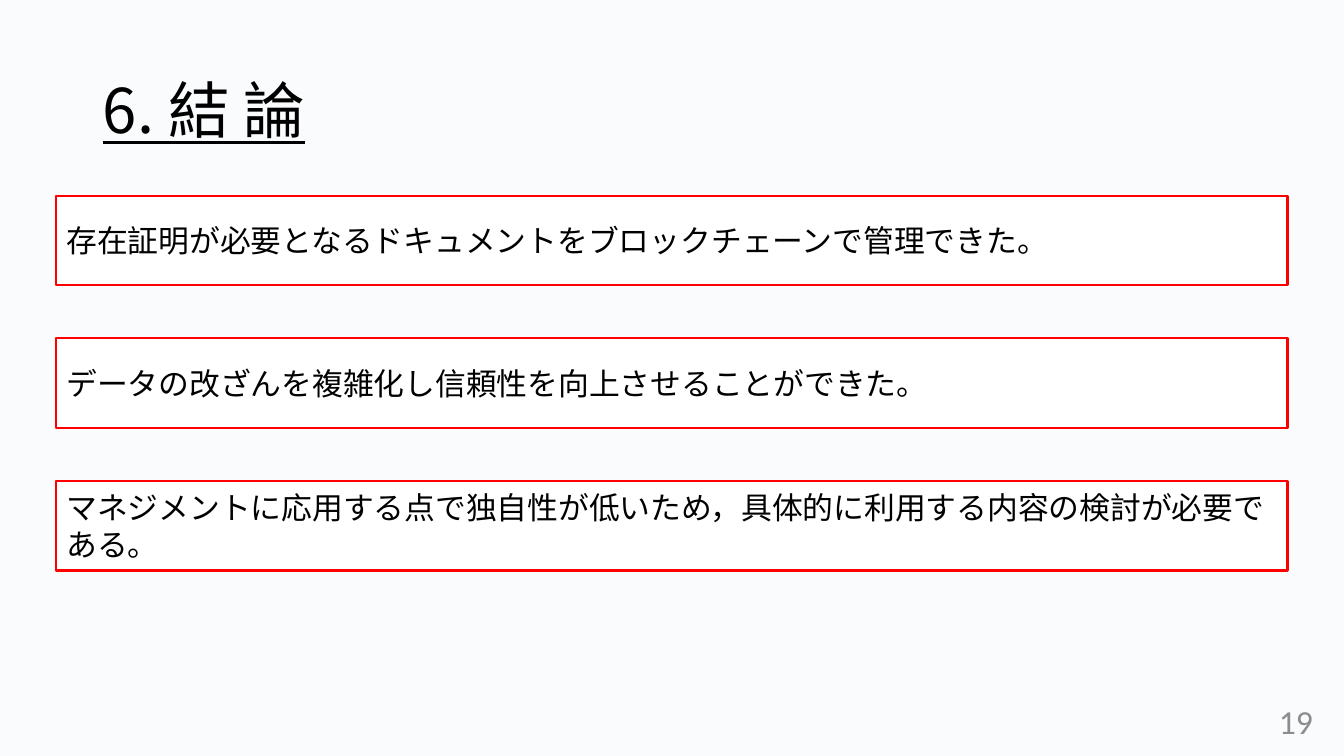
import pptx
import pptx.dml.color
import pptx.enum.shapes
import pptx.enum.text
import pptx.oxml
import pptx.oxml.ns
import pptx.util

Inches = pptx.util.Inches
Pt = pptx.util.Pt
RGBColor = pptx.dml.color.RGBColor
Align = pptx.enum.text.PP_ALIGN
Anchor = pptx.enum.text.MSO_ANCHOR

# Content
TITLE = "6. 結 論"
CONCLUSIONS = [
    "存在証明が必要となるドキュメントをブロックチェーンで管理できた。",
    "データの改ざんを複雑化し信頼性を向上させることができた。",
    "マネジメントに応用する点で独自性が低いため，具体的に利用する内容の検討が必要である。",
]
PAGE_NUMBER = "19"

# Style
TITLE_FONT = "Noto Sans CJK JP"
BODY_FONT = "Calibri"
BACKGROUND = RGBColor(0xF9, 0xFB, 0xFD)
BLACK = RGBColor(0x00, 0x00, 0x00)
WHITE = RGBColor(0xFF, 0xFF, 0xFF)
RED = RGBColor(0xFF, 0x00, 0x00)
GRAY = RGBColor(0x8C, 0x8C, 0x8C)

# Layout in inches
BOX_LEFT, BOX_TOP, BOX_WIDTH, BOX_HEIGHT = 0.56, 1.94, 12.21, 0.89
BOX_PITCH = 1.415


def place(shape, left, top, width, height):
    shape.left, shape.top = Inches(left), Inches(top)
    shape.width, shape.height = Inches(width), Inches(height)


def write(shape, text, font_name, size, color, alignment):
    frame = shape.text_frame
    frame.word_wrap = True
    frame.auto_size = pptx.enum.text.MSO_AUTO_SIZE.NONE
    frame.vertical_anchor = Anchor.MIDDLE
    frame.text = text
    paragraph = frame.paragraphs[0]
    paragraph.alignment = alignment
    paragraph.font.name = font_name
    paragraph.font.size = Pt(size)
    paragraph.font.color.rgb = color
    return paragraph


def add_conclusion(slide, text, top):
    box = slide.shapes.add_shape(
        pptx.enum.shapes.MSO_SHAPE.RECTANGLE,
        Inches(BOX_LEFT), Inches(top), Inches(BOX_WIDTH), Inches(BOX_HEIGHT))
    box.shadow.inherit = False
    box.fill.solid()
    box.fill.fore_color.rgb = WHITE
    box.line.color.rgb = RED
    box.line.width = Pt(1.5)
    paragraph = write(box, text, BODY_FONT, 22, BLACK, Align.LEFT)
    paragraph.space_before = Pt(10)


def main():
    presentation = pptx.Presentation()
    presentation.slide_width = Inches(13.33)
    presentation.slide_height = Inches(7.5)
    slide = presentation.slides.add_slide(presentation.slide_layouts[5])
    slide.background.fill.solid()
    slide.background.fill.fore_color.rgb = BACKGROUND

    # Title, with the same font for its Japanese characters
    title = slide.shapes.title
    place(title, 0.92, 0.4, 11.5, 1.45)
    paragraph = write(title, TITLE, TITLE_FONT, 44, BLACK, Align.LEFT)
    paragraph.line_spacing = 0.9
    paragraph.font.underline = True
    latin = paragraph.font._element.find(pptx.oxml.ns.qn("a:latin"))
    latin.addnext(pptx.oxml.parse_xml(
        f'<a:ea {pptx.oxml.ns.nsdecls("a")} typeface="{TITLE_FONT}"/>'))

    # Page number
    number = slide.shapes.add_textbox(
        Inches(10.12), Inches(6.95), Inches(3), Inches(0.4))
    write(number, PAGE_NUMBER, BODY_FONT, 24, GRAY, Align.RIGHT)

    # Conclusions, evenly stacked
    for index, text in enumerate(CONCLUSIONS):
        add_conclusion(slide, text, BOX_TOP + index * BOX_PITCH)

    presentation.save("out.pptx")


if __name__ == "__main__":
    main()
